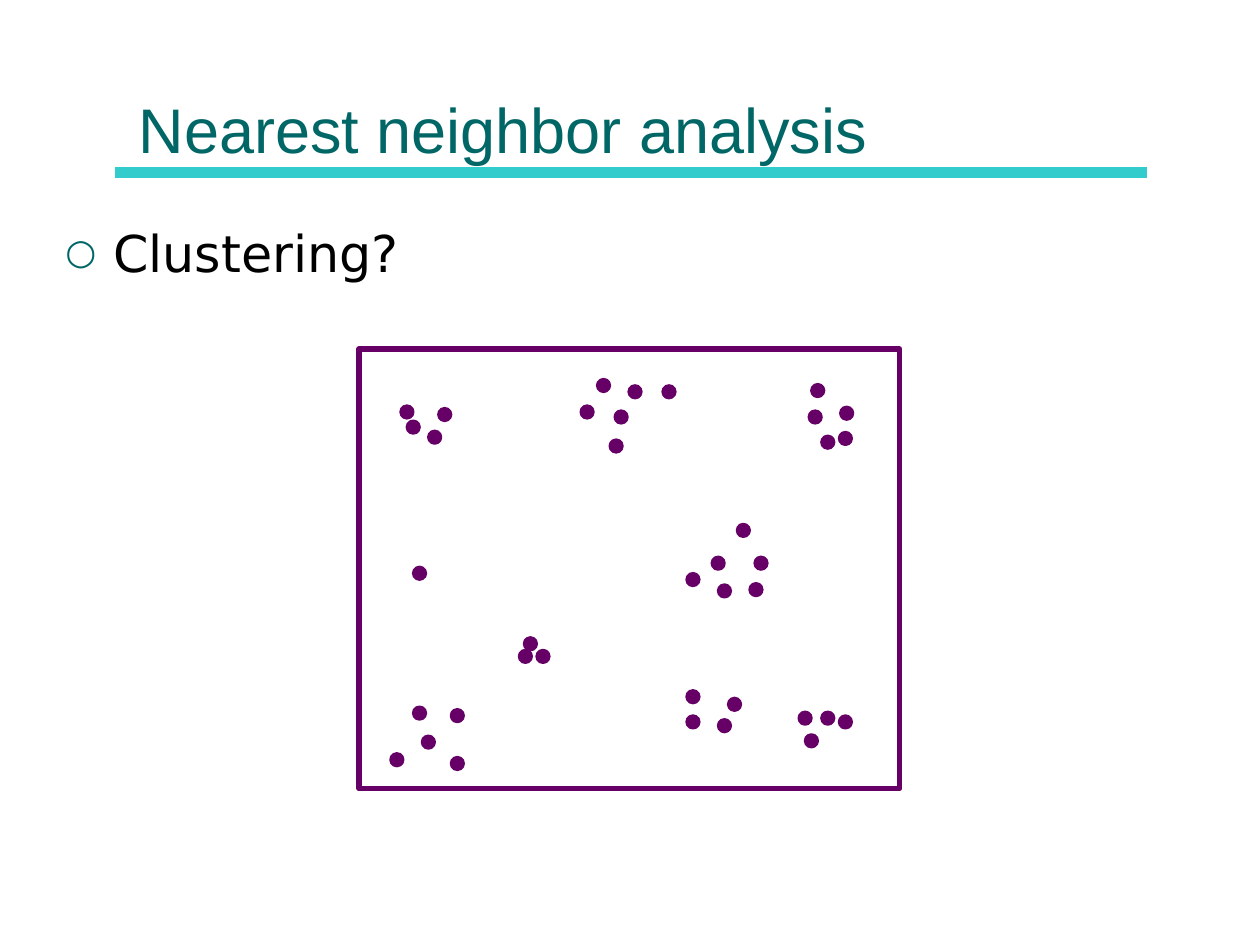
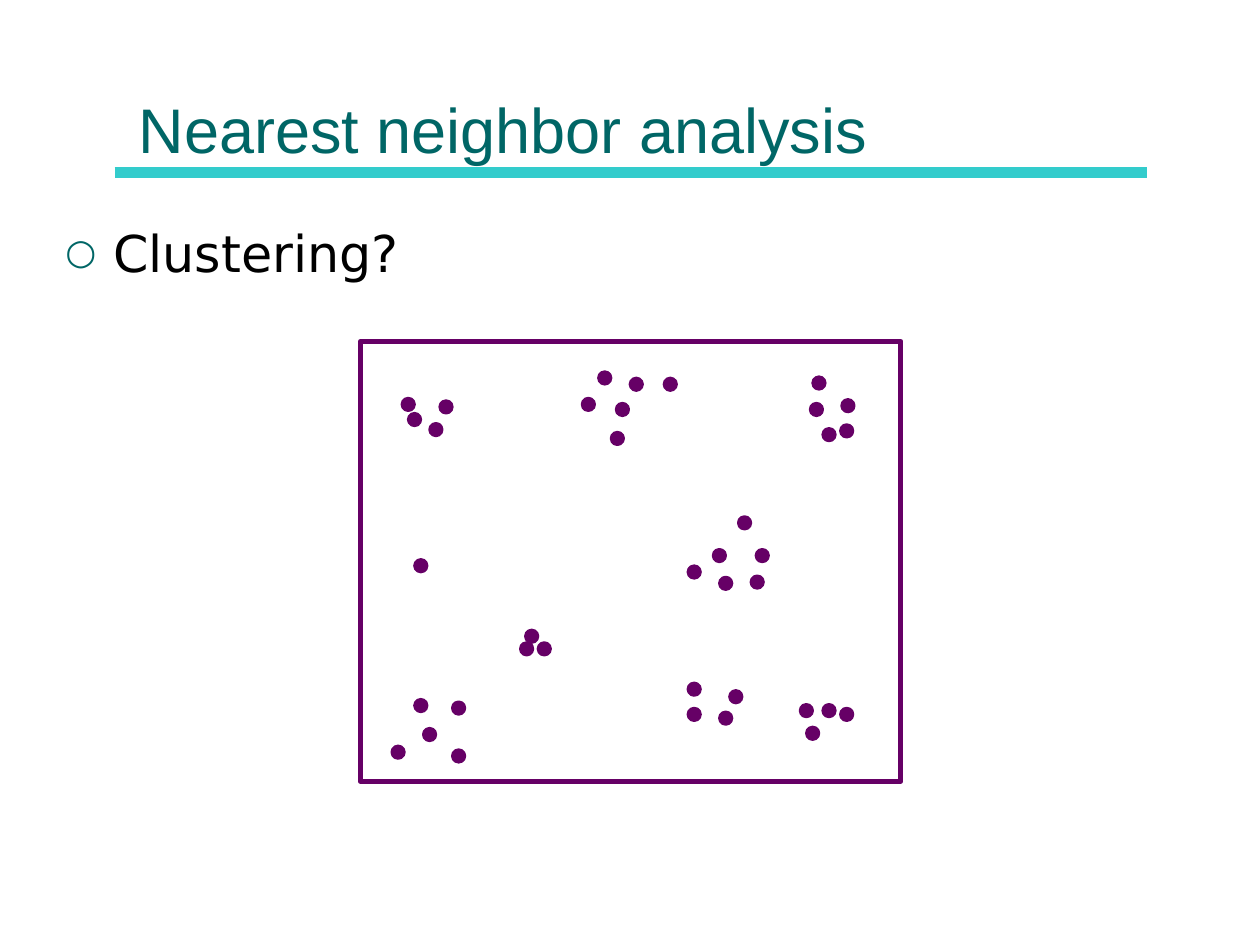
from lxml import etree
from pptx import Presentation
from pptx.dml.color import RGBColor
from pptx.enum import shapes, text
from pptx.oxml import ns
from pptx.util import Inches, Pt

TEAL, TURQUOISE, PURPLE, BLACK = "006666", "33CCCC", "660066", "000000"
DOT_SIZE = 0.1

CLUSTERS = {
    "top left": [(3.18, 3.22), (3.23, 3.34), (3.4, 3.42), (3.48, 3.24)],
    "top middle": [(4.61, 3.22), (4.74, 3.01), (4.84, 3.49), (4.88, 3.26),
                   (4.99, 3.06), (5.26, 3.06)],
    "top right": [(6.42, 3.26), (6.44, 3.05), (6.52, 3.46), (6.66, 3.43),
                  (6.67, 3.23)],
    "single": [(3.28, 4.5)],
    "middle right": [(5.45, 4.55), (5.65, 4.42), (5.7, 4.64), (5.85, 4.16),
                     (5.95, 4.63), (5.99, 4.42)],
    "centre": [(4.12, 5.16), (4.16, 5.06), (4.26, 5.16)],
    "bottom left": [(3.1, 5.98), (3.28, 5.61), (3.35, 5.84), (3.58, 5.63),
                    (3.58, 6.01)],
    "bottom middle": [(5.45, 5.48), (5.45, 5.68), (5.7, 5.71), (5.78, 5.54)],
    "bottom right": [(6.34, 5.65), (6.39, 5.83), (6.52, 5.65), (6.66, 5.68)],
}


def color(value):
    return RGBColor.from_string(value)


def write(frame, content, size, font, ink, anchor=text.MSO_ANCHOR.TOP):
    frame.word_wrap = True
    frame.auto_size = text.MSO_AUTO_SIZE.NONE
    frame.vertical_anchor = anchor
    paragraph = frame.paragraphs[0]
    paragraph.alignment = text.PP_ALIGN.LEFT
    run = paragraph.add_run()
    run.text = content
    run.font.size = Pt(size)
    run.font.name = font
    run.font.color.rgb = color(ink)
    return paragraph


def add_xml(parent, tag, **attributes):
    return etree.SubElement(parent, ns.qn(tag), attributes)


class Deck:
    def __init__(self):
        self.presentation = Presentation()
        self.presentation.slide_width = Inches(10)
        self.presentation.slide_height = Inches(7.5)
        self.slide = None

    def start(self, heading):
        layout = self.presentation.slide_layouts[5]
        self.slide = self.presentation.slides.add_slide(layout)
        title = self.slide.shapes.title
        title.left, title.top = Inches(1), Inches(0.12)
        title.width, title.height = Inches(8), Inches(1.25)
        write(title.text_frame, heading, size=36, font="Arial", ink=TEAL,
              anchor=text.MSO_ANCHOR.BOTTOM)
        title.element.addprevious(self.rule(0.91, 9.1, 1.37).element)

    def rule(self, start, end, top):
        underline = self.slide.shapes.add_connector(
            shapes.MSO_CONNECTOR.STRAIGHT,
            Inches(start), Inches(top), Inches(end), Inches(top))
        underline.line.color.rgb = color(TURQUOISE)
        underline.line.width = Pt(6)
        add_xml(underline.element.spPr, "a:effectLst")
        return underline

    def bullet(self, content):
        question = self.slide.shapes.add_textbox(
            Inches(0.42), Inches(1.71), Inches(9.13), Inches(4.5))
        paragraph = write(question.text_frame, content, size=29,
                          font="DejaVu Sans", ink=BLACK)
        properties = paragraph._p.get_or_add_pPr()
        properties.set("marL", str(Inches(0.38)))
        properties.set("indent", str(Inches(-0.38)))
        add_xml(add_xml(properties, "a:spcBef"), "a:spcPct", val="20000")
        add_xml(add_xml(properties, "a:buClr"), "a:srgbClr", val=TEAL)
        add_xml(properties, "a:buSzPct", val="70000")
        add_xml(properties, "a:buFont", typeface="DejaVu Sans")
        add_xml(properties, "a:buChar", char="○")

    def outline(self, kind, left, top, width, height, weight, fill=None):
        figure = self.slide.shapes.add_shape(
            kind, Inches(left), Inches(top), Inches(width), Inches(height))
        figure.shadow.inherit = False
        figure.line.color.rgb = color(PURPLE)
        figure.line.width = Pt(weight)
        if fill:
            figure.fill.solid()
            figure.fill.fore_color.rgb = color(fill)
        else:
            figure.fill.background()

    def point_map(self, shift_x, shift_y):
        self.outline(shapes.MSO_SHAPE.RECTANGLE, 2.85 + shift_x,
                     2.77 + shift_y, 4.29, 3.49, weight=3)
        for cluster in CLUSTERS.values():
            for left, top in cluster:
                self.outline(shapes.MSO_SHAPE.OVAL, left + shift_x,
                             top + shift_y, DOT_SIZE, DOT_SIZE,
                             weight=1.5, fill=PURPLE)


def main():
    deck = Deck()
    for shift_x, shift_y in [(0, 0), (0.01, -0.06)]:
        deck.start("Nearest neighbor analysis")
        deck.bullet("Clustering?")
        deck.point_map(shift_x, shift_y)
    deck.presentation.save("out.pptx")


if __name__ == "__main__":
    main()
